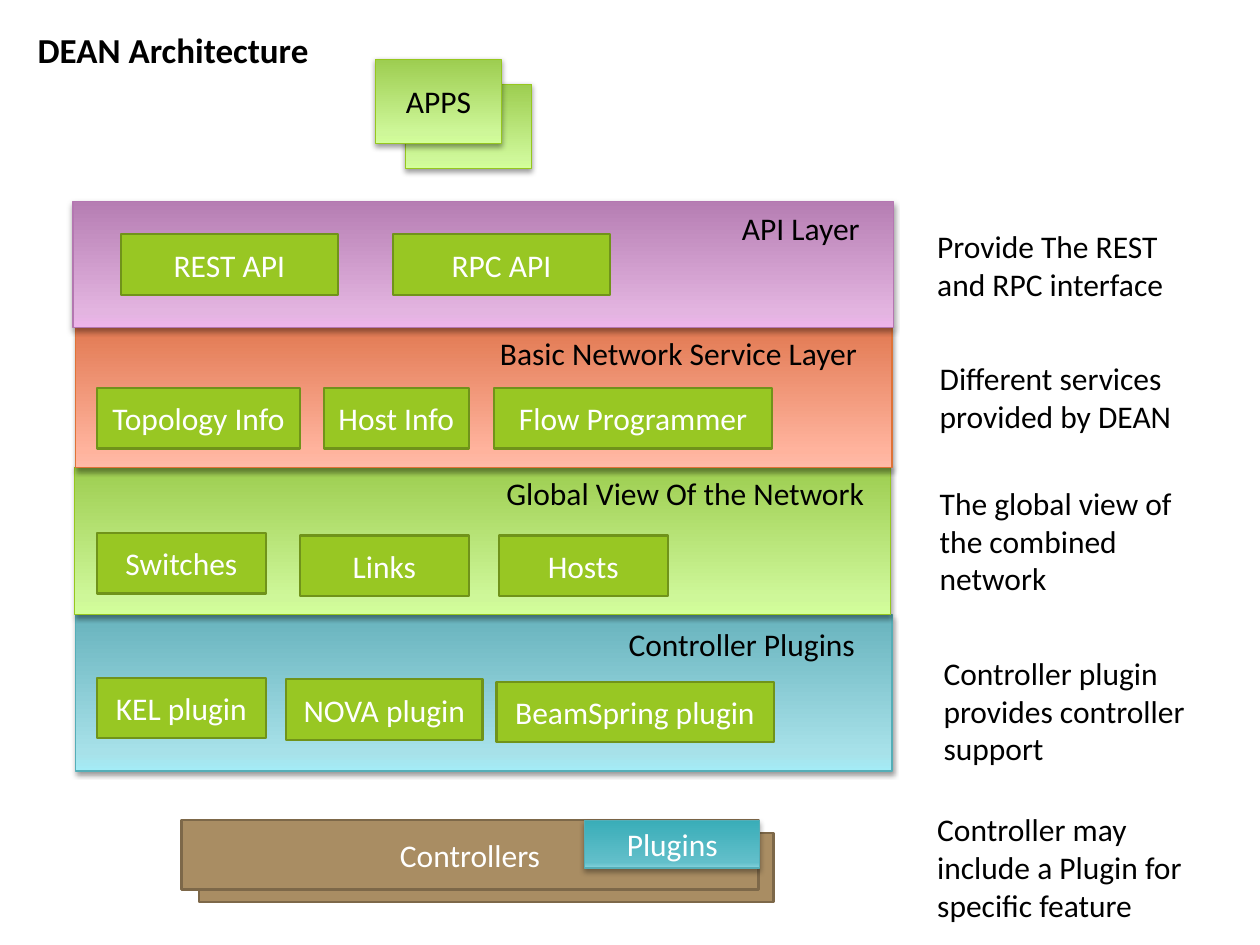
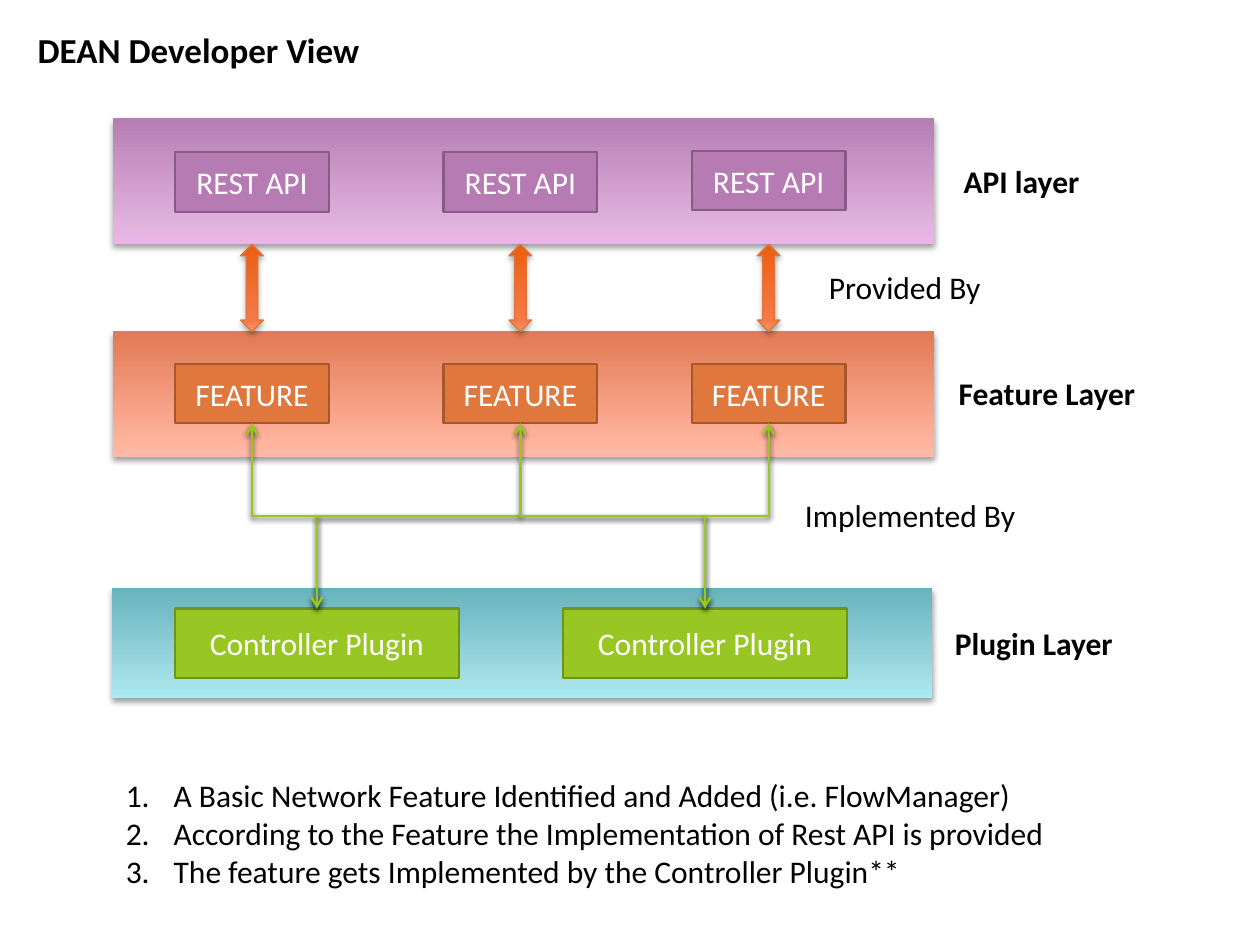
import copy

import pptx
import pptx.dml.color
import pptx.enum.shapes
import pptx.enum.text
import pptx.oxml
import pptx.oxml.ns
import pptx.util

Inches = pptx.util.Inches
Pt = pptx.util.Pt
RGBColor = pptx.dml.color.RGBColor
SHAPE = pptx.enum.shapes.MSO_SHAPE
qn = pptx.oxml.ns.qn

# Shared look
FONT = "Calibri"
BLACK = RGBColor(0x00, 0x00, 0x00)
WHITE = RGBColor(0xFF, 0xFF, 0xFF)
LIME = RGBColor(0x98, 0xC7, 0x23)
LIME_EDGE = RGBColor(0x70, 0x93, 0x1A)
LIME_LINE = RGBColor(0x96, 0xC7, 0x1E)
BROWN = RGBColor(0xA9, 0x8D, 0x63)
BROWN_EDGE = RGBColor(0x7D, 0x68, 0x49)
PURPLE = RGBColor(0xB7, 0x7B, 0xB4)
PURPLE_EDGE = RGBColor(0x87, 0x5B, 0x85)
PURPLE_LINE = RGBColor(0xB4, 0x77, 0xB1)
ORANGE = RGBColor(0xE0, 0x77, 0x3C)
ORANGE_EDGE = RGBColor(0xA6, 0x58, 0x2C)
ORANGE_LINE = RGBColor(0xDF, 0x73, 0x37)
TEAL_LINE = RGBColor(0x55, 0xAE, 0xB7)

# Gradients run from bottom to top
STOPS = (0, 0.12, 1)
PURPLE_FADE = (RGBColor(0xED, 0xB4, 0xEA), RGBColor(0xE3, 0xB4, 0xE0), RGBColor(0xB6, 0x7E, 0xB3))
CORAL_FADE = (RGBColor(0xFF, 0xBA, 0xA7), RGBColor(0xFF, 0xB3, 0x9D), RGBColor(0xE2, 0x7A, 0x53))
GREEN_FADE = (RGBColor(0xD3, 0xFF, 0x9A), RGBColor(0xCE, 0xF7, 0x99), RGBColor(0x9D, 0xCD, 0x50))
TEAL_FADE = (RGBColor(0xA4, 0xEC, 0xF6), RGBColor(0xA7, 0xE1, 0xE9), RGBColor(0x68, 0xB3, 0xBD))
DEEP_TEAL_FADE = (RGBColor(0x85, 0xD2, 0xDC), RGBColor(0x62, 0xBF, 0xCA), RGBColor(0x39, 0xAD, 0xB8))
ARROW_FADE = (RGBColor(0xFF, 0x96, 0x73), RGBColor(0xF6, 0x7A, 0x48), RGBColor(0xEA, 0x5F, 0x11))


def format_paragraph(paragraph, color=BLACK, size=18, bold=False):
    paragraph.font.name = FONT
    paragraph.font.size = Pt(size)
    paragraph.font.bold = bold
    paragraph.font.color.rgb = color


def add_shadow(shape, alpha=38, distance=1.57):
    """Put a soft shadow below a shape or connector."""
    properties = shape.element.spPr
    effects = properties.find(qn("a:effectLst"))
    if effects is None:
        effects = pptx.oxml.parse_xml(f"<a:effectLst {pptx.oxml.ns.nsdecls('a')}/>")
        properties.append(effects)
    effects.append(pptx.oxml.parse_xml(
        f'<a:outerShdw {pptx.oxml.ns.nsdecls("a")} blurRad="{Pt(3.15)}" dist="{Pt(distance)}" '
        f'dir="5400000" rotWithShape="0"><a:srgbClr val="000000">'
        f'<a:alpha val="{alpha * 1000}"/></a:srgbClr></a:outerShdw>'))


def add_block(slide, kind, place, line, text="", color=WHITE, line_width=1.25):
    """Add an outlined preset shape with centred text; the caller fills it."""
    shape = slide.shapes.add_shape(kind, *map(Inches, place))
    shape.shadow.inherit = False
    if line is None:
        shape.line.fill.background()
    else:
        shape.line.color.rgb = line
        shape.line.width = Pt(line_width)
    if text:
        frame = shape.text_frame
        frame.word_wrap = True
        frame.vertical_anchor = pptx.enum.text.MSO_ANCHOR.MIDDLE
        paragraph = frame.paragraphs[0]
        paragraph.text = text
        paragraph.alignment = pptx.enum.text.PP_ALIGN.CENTER
        format_paragraph(paragraph, color)
    return shape


def add_box(slide, place, text="", fill=LIME, edge=LIME_EDGE, kind=SHAPE.FLOWCHART_PROCESS):
    shape = add_block(slide, kind, place, edge, text)
    shape.fill.solid()
    shape.fill.fore_color.rgb = fill
    return shape


def add_faded(slide, place, fade, line=None, text="", color=BLACK, kind=SHAPE.RECTANGLE,
              alpha=38, distance=1.57):
    """Add a shape with a three-stop vertical gradient and a shadow."""
    shape = add_block(slide, kind, place, line, text, color, 0.75)
    shape.fill.gradient()
    shape.fill.gradient_angle = 90
    stop_list = shape.element.spPr.find(qn("a:gradFill")).find(qn("a:gsLst"))
    stop_list.append(copy.deepcopy(stop_list[0]))
    for stop, position, stop_color in zip(shape.fill.gradient_stops, STOPS, fade):
        stop.position = position
        stop.color.rgb = stop_color
    add_shadow(shape, alpha, distance)
    return shape


def add_text(slide, place, *lines, wrap=False, size=18, bold=False):
    box = slide.shapes.add_textbox(*map(Inches, place))
    frame = box.text_frame
    frame.word_wrap = wrap
    frame.auto_size = pptx.enum.text.MSO_AUTO_SIZE.SHAPE_TO_FIT_TEXT
    for index, line in enumerate(lines):
        paragraph = frame.add_paragraph() if index else frame.paragraphs[0]
        paragraph.text = line
        format_paragraph(paragraph, size=size, bold=bold)
    return box


def add_title(slide, text, width):
    add_text(slide, (0.2, 0.18, width, 0.44), text, size=20, bold=True)


def number_paragraphs(box):
    for paragraph in box.text_frame.paragraphs:
        properties = paragraph._p.get_or_add_pPr()
        properties.set("marL", str(Inches(0.38)))
        properties.set("indent", str(Inches(-0.38)))
        properties.append(pptx.oxml.parse_xml(
            f'<a:buAutoNum {pptx.oxml.ns.nsdecls("a")} type="arabicPeriod"/>'))


def add_elbow(slide, upper, lower):
    """Join the bottom of one box to the top of another, leaving vertically."""
    start_x, start_y = upper.left + upper.width // 2, upper.top + upper.height
    end_x, end_y = lower.left + lower.width // 2, lower.top
    connector = slide.shapes.add_connector(
        pptx.enum.shapes.MSO_CONNECTOR.ELBOW, start_x, start_y, end_x, end_y)
    connector.begin_connect(upper, 2)
    connector.end_connect(lower, 0)
    # A quarter turn about the centre makes the first leg vertical
    length, spread = end_y - start_y, abs(end_x - start_x)
    connector.left = (start_x + end_x - length) // 2
    connector.top = (start_y + end_y - spread) // 2
    connector.width, connector.height = length, spread
    transform = connector.element.spPr.find(qn("a:xfrm"))
    for flip in ("flipH", "flipV"):
        transform.attrib.pop(flip, None)
    if end_x > start_x:
        connector.rotation = 270
        transform.set("flipH", "1")
    else:
        connector.rotation = 90
    connector.line.color.rgb = LIME
    connector.line.width = Pt(1.25)
    line = connector.element.spPr.find(qn("a:ln"))
    for end in ("headEnd", "tailEnd"):
        line.append(pptx.oxml.parse_xml(f'<a:{end} {pptx.oxml.ns.nsdecls("a")} type="arrow"/>'))
    add_shadow(connector)


def build_architecture(slide):
    add_title(slide, "DEAN Architecture", 2.37)

    # Layers from the lowest up: place, fade, line, label, label place, modules (left, top, width)
    layers = [
        ((0.6, 4.88, 6.48, 1.24), TEAL_FADE, TEAL_LINE, "Controller Plugins", (4.89, 4.91, 2.02, 0.4),
         [("KEL plugin", 0.77, 5.38, 1.34), ("NOVA plugin", 2.27, 5.39, 1.56),
          ("BeamSpring plugin", 3.94, 5.41, 2.2)]),
        ((0.59, 3.71, 6.48, 1.17), GREEN_FADE, LIME_LINE, "Global View Of the Network",
         (3.92, 3.71, 3.08, 0.4),
         [("Switches", 0.77, 4.23, 1.34), ("Links", 2.38, 4.25, 1.34), ("Hosts", 3.96, 4.25, 1.34)]),
        ((0.6, 2.6, 6.48, 1.11), CORAL_FADE, ORANGE_LINE, "Basic Network Service Layer",
         (3.87, 2.6, 3.07, 0.4),
         [("Topology Info", 0.77, 3.08, 1.61), ("Host Info", 2.57, 3.08, 1.15),
          ("Flow Programmer", 3.92, 3.08, 2.21)]),
        ((0.58, 1.6, 6.51, 1), PURPLE_FADE, PURPLE_LINE, "API Layer", (5.79, 1.61, 1.15, 0.4),
         [("REST API", 0.96, 1.86, 1.72), ("RPC API", 3.12, 1.86, 1.72)]),
    ]
    for place, fade, line, label, label_place, modules in layers:
        add_faded(slide, place, fade, line)
        add_text(slide, label_place, label)
        for name, left, top, width in modules:
            add_box(slide, (left, top, width, 0.48), name)

    # Stacked apps above, stacked controllers below
    for left, top, text in [(3.22, 0.67, ""), (2.98, 0.47, "APPS")]:
        add_faded(slide, (left, top, 1, 0.67), GREEN_FADE, LIME_LINE, text,
                  kind=SHAPE.FLOWCHART_PROCESS)
    for left, top, width, text in [(1.58, 6.61, 4.56, ""), (1.44, 6.51, 4.58, "Controllers")]:
        add_box(slide, (left, top, width, 0.55), text, BROWN, BROWN_EDGE)
    add_faded(slide, (4.64, 6.51, 1.39, 0.38), DEEP_TEAL_FADE, TEAL_LINE, "Plugins", WHITE,
              alpha=35, distance=1.81)

    # Explanations on the right
    notes = [
        (7.34, 1.75, 0.71, "Provide The REST and RPC interface"),
        (7.36, 2.8, 0.71, "Different services provided by DEAN"),
        (7.36, 3.79, 1.01, "The global view of the combined network"),
        (7.39, 5.14, 1.01, "Controller plugin provides controller support"),
        (7.34, 6.38, 1.01, "Controller may include a Plugin for specific feature"),
    ]
    for left, top, height, text in notes:
        add_text(slide, (left, top, 2.2, height), text, wrap=True)


def build_developer_view(slide):
    add_title(slide, "DEAN Developer View", 2.78)

    # Layers
    for left, top, height, fade in [(0.9, 0.94, 1, PURPLE_FADE), (0.9, 2.63, 1, CORAL_FADE),
                                    (0.89, 4.67, 0.87, TEAL_FADE)]:
        add_faded(slide, (left, top, 6.51, height), fade)

    # Columns of API, arrow and feature
    features = []
    for left, api_top in [(1.39, 1.21), (3.52, 1.21), (5.49, 1.2)]:
        add_box(slide, (left, api_top, 1.22, 0.47), "REST API", PURPLE, PURPLE_EDGE)
        features.append(add_box(slide, (left, 2.89, 1.22, 0.47), "FEATURE", ORANGE, ORANGE_EDGE))
        add_faded(slide, (left + 0.52, 1.94, 0.18, 0.69), ARROW_FADE, ORANGE_LINE,
                  kind=SHAPE.UP_DOWN_ARROW, alpha=35, distance=1.81)

    # Plugins, each joined to every feature
    plugins = [add_box(slide, (left, 4.83, 2.25, 0.55), "Controller Plugin", kind=SHAPE.RECTANGLE)
               for left in (1.39, 4.47)]
    for plugin in plugins:
        for feature in features:
            add_elbow(slide, feature, plugin)

    # Labels
    for left, top, width, text, bold in [
            (7.55, 1.24, 1.13, "API layer", True),
            (7.51, 2.92, 1.61, "Feature Layer", True),
            (7.48, 4.9, 1.47, "Plugin Layer", True),
            (6.29, 3.89, 1.89, "Implemented By", False),
            (6.48, 2.08, 1.42, "Provided By", False)]:
        add_text(slide, (left, top, width, 0.4), text, bold=bold)

    # Steps
    number_paragraphs(add_text(
        slide, (0.9, 6.11, 7.57, 1.01),
        "A Basic Network Feature Identified and Added (i.e. FlowManager)",
        "According to the Feature the Implementation of Rest API is provided",
        "The feature gets Implemented by the Controller Plugin**"))


def main():
    presentation = pptx.Presentation()
    presentation.slide_width = Inches(10)
    presentation.slide_height = Inches(7.5)
    for build in (build_architecture, build_developer_view):
        build(presentation.slides.add_slide(presentation.slide_layouts[6]))
    presentation.save("out.pptx")


if __name__ == "__main__":
    main()
